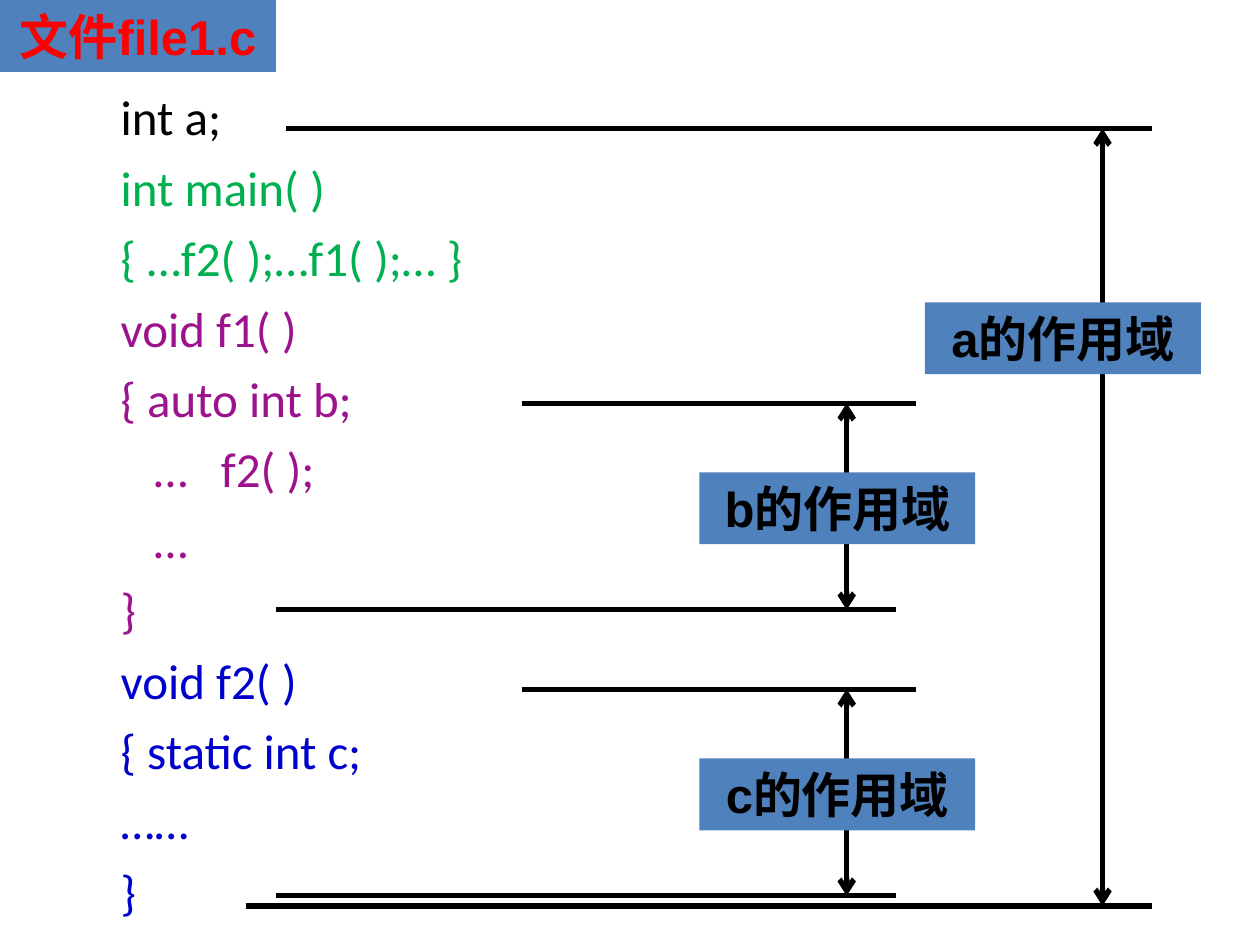
"""Build a slide showing the scopes of variables a, b and c in file1.c."""
from lxml import etree
from pptx import Presentation
from pptx import util as u
from pptx.dml.color import RGBColor
from pptx.enum import shapes, text
from pptx.oxml import ns

COLORS = {
    "black": "000000", "green": "00B050", "purple": "9D138D",
    "blue": "0000CC", "red": "FF0000", "label": "4F81BD",
}
CODE = [
    ("black", ["int a;"]),
    ("green", ["int main( )", "{ …f2( );…f1( );… }"]),
    ("purple", ["void f1( )", "{ auto int b;", "   …   f2( );", "   …", "}"]),
    ("blue", ["void f2( )", "{ static int c;", "……", "}"]),
]
SCOPES = [
    ("a", 8.75, (7.34, 2.4), (2.27, 9.14, 1.02), (1.95, 9.14, 7.19)),
    ("b", 6.72, (5.55, 3.75), (4.14, 7.27, 3.2), (2.19, 7.11, 4.84)),
    ("c", 6.72, (5.55, 6.02), (4.14, 7.27, 5.47), (2.19, 7.11, 7.11)),
]


def add_line(x1, y1, x2, y2, arrows=False):
    line = slide.shapes.add_connector(
        shapes.MSO_CONNECTOR.STRAIGHT,
        u.Inches(x1), u.Inches(y1), u.Inches(x2), u.Inches(y2))
    line.line.width = u.Pt(3)
    line.line.color.rgb = RGBColor.from_string(COLORS["black"])
    if arrows:
        outline = line.line._get_or_add_ln()
        for end in ("a:headEnd", "a:tailEnd"):
            etree.SubElement(outline, ns.qn(end), type="arrow")
    etree.SubElement(line._element.spPr, ns.qn("a:effectLst"))


def format_label(label, wording, left, top, color):
    label.left, label.top = u.Inches(left), u.Inches(top)
    label.width, label.height = u.Inches(2.19), u.Inches(0.57)
    label.fill.solid()
    label.fill.fore_color.rgb = RGBColor.from_string(COLORS["label"])
    label.line.fill.background()
    frame = label.text_frame
    frame.text = wording
    frame.word_wrap = False
    frame.auto_size = text.MSO_AUTO_SIZE.NONE
    frame.vertical_anchor = text.MSO_ANCHOR.MIDDLE
    paragraph = frame.paragraphs[0]
    paragraph.alignment = text.PP_ALIGN.CENTER
    paragraph.font.name, paragraph.font.size = "Arial", u.Pt(28)
    paragraph.font.bold = True
    paragraph.font.color.rgb = RGBColor.from_string(COLORS[color])


prs = Presentation()
prs.slide_width, prs.slide_height = u.Inches(10), u.Inches(7.5)
slide = prs.slides.add_slide(prs.slide_layouts[5])
format_label(slide.shapes.title, "文件file1.c", 0, 0, "red")

listing = slide.shapes.add_textbox(
    u.Inches(0.86), u.Inches(0.64), u.Inches(5.08), u.Inches(6.72)).text_frame
listing.word_wrap = True
code_lines = [(color, code) for color, block in CODE for code in block]
for number, (color, code) in enumerate(code_lines):
    paragraph = listing.add_paragraph() if number else listing.paragraphs[0]
    paragraph.text = code
    paragraph.space_before = u.Pt(6.6 if number else 0)
    paragraph.font.name, paragraph.font.size = "Calibri", u.Pt(28)
    paragraph.font.color.rgb = RGBColor.from_string(COLORS[color])

for variable, arrow_x, corner, start, end in SCOPES:
    for left, right, y in (start, end):
        add_line(left, y, right, y)
    add_line(arrow_x, start[2], arrow_x, end[2], arrows=True)
    label = slide.shapes.add_shape(
        shapes.MSO_SHAPE.RECTANGLE, 0, 0, u.Inches(2.19), u.Inches(0.57))
    label.shadow.inherit = False
    format_label(label, f"{variable}的作用域", *corner, "black")

prs.save("out.pptx")
